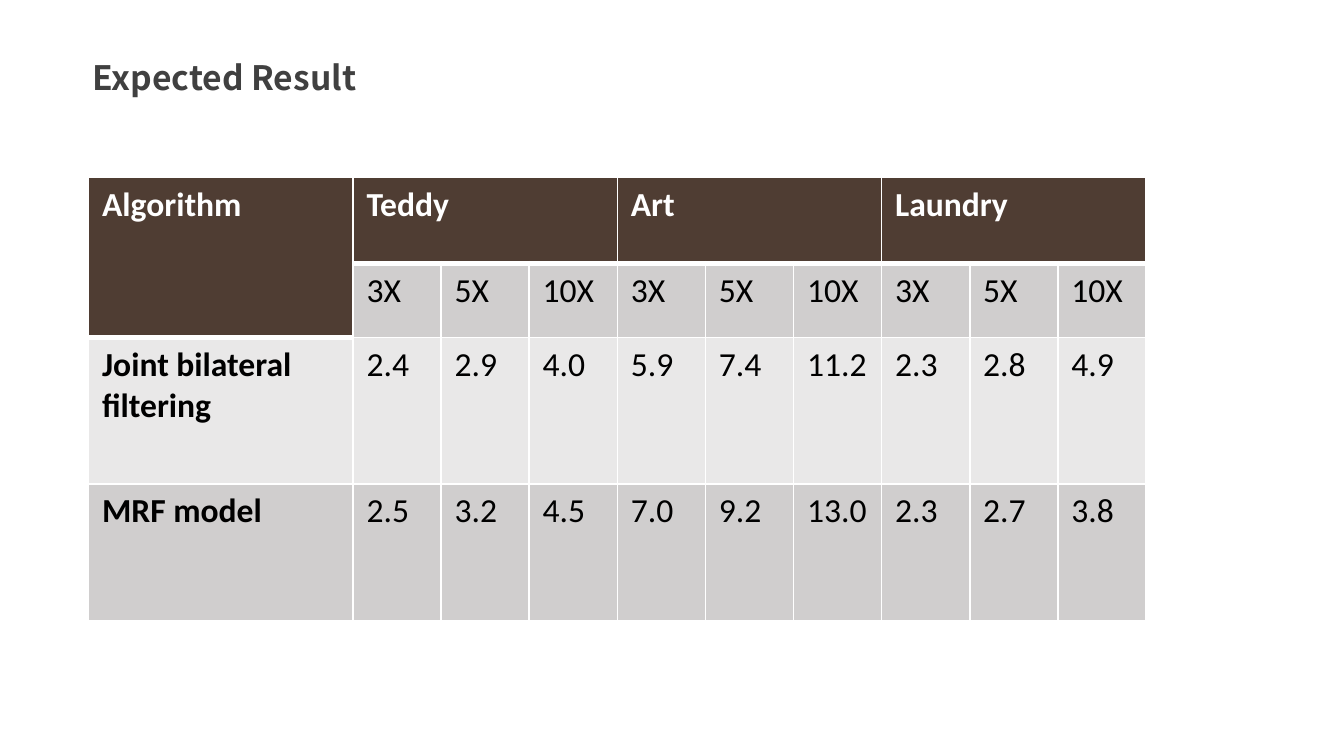
import dataclasses

import lxml.etree
import pptx
import pptx.dml.color
import pptx.enum.text
import pptx.oxml.ns
import pptx.util

Inches = pptx.util.Inches


@dataclasses.dataclass(frozen=True)
class Theme:
    title_font: str = "Noto Sans CJK SC"
    table_font: str = "Calibri"
    text_size: int = 18
    title_color: str = "404040"
    header_fill: str = "4F3D33"
    header_text: str = "FFFFFF"
    body_text: str = "000000"
    dark_band: str = "D0CECE"
    light_band: str = "E9E8E8"
    border: str = "FFFFFF"
    thin_line: int = 1
    thick_line: int = 3


class SlideBuilder:
    def __init__(self, slide, theme):
        self.slide = slide
        self.theme = theme

    def format_text(self, text_frame, font_name, color, bold):
        for paragraph in text_frame.paragraphs:
            for run in paragraph.runs:
                run.font.name = font_name
                run.font.size = pptx.util.Pt(self.theme.text_size)
                run.font.bold = bold
                run.font.color.rgb = pptx.dml.color.RGBColor.from_string(color)

    def add_title(self, text, left, top, width, height):
        title = self.slide.shapes.title
        title.left, title.top = Inches(left), Inches(top)
        title.width, title.height = Inches(width), Inches(height)
        text_frame = title.text_frame
        text_frame.text = text
        text_frame.word_wrap = True
        text_frame.auto_size = pptx.enum.text.MSO_AUTO_SIZE.NONE
        text_frame.vertical_anchor = pptx.enum.text.MSO_ANCHOR.MIDDLE
        text_frame.margin_left = text_frame.margin_right = 0
        text_frame.paragraphs[0].alignment = pptx.enum.text.PP_ALIGN.LEFT
        self.format_text(text_frame, self.theme.title_font, self.theme.title_color, True)

    def set_borders(self, cell, top, bottom):
        properties = cell._tc.get_or_add_tcPr()
        thin = self.theme.thin_line
        for side, points in (("L", thin), ("R", thin), ("T", top), ("B", bottom)):
            line = lxml.etree.SubElement(
                properties, pptx.oxml.ns.qn(f"a:ln{side}"), w=str(pptx.util.Pt(points)))
            fill = lxml.etree.SubElement(line, pptx.oxml.ns.qn("a:solidFill"))
            lxml.etree.SubElement(fill, pptx.oxml.ns.qn("a:srgbClr"), val=self.theme.border)

    def style_cell(self, cell, row, column):
        theme = self.theme

        # The thick rule runs below the header row and the Algorithm cell
        def line_below(row_above):
            above_rule = row_above == 0 or (row_above == 1 and column == 0)
            return theme.thick_line if above_rule else theme.thin_line

        self.set_borders(cell, line_below(row - 1), line_below(row))
        is_header = row == 0 or (row == 1 and column == 0)
        band = theme.dark_band if row % 2 else theme.light_band
        cell.fill.solid()
        cell.fill.fore_color.rgb = pptx.dml.color.RGBColor.from_string(
            theme.header_fill if is_header else band)
        self.format_text(cell.text_frame, theme.table_font,
                         theme.header_text if is_header else theme.body_text,
                         is_header or column == 0)

    def add_table(self, rows, merges, left, top, column_widths, row_heights):
        table = self.slide.shapes.add_table(
            len(rows), len(column_widths), Inches(left), Inches(top),
            Inches(sum(column_widths)), Inches(sum(row_heights))).table
        for column, width in zip(table.columns, column_widths):
            column.width = Inches(width)
        for table_row, height in zip(table.rows, row_heights):
            table_row.height = Inches(height)
        for row, values in enumerate(rows):
            for column, value in enumerate(values):
                cell = table.cell(row, column)
                cell.text_frame.text = value
                self.style_cell(cell, row, column)
        for first, last in merges:
            table.cell(*first).merge(table.cell(*last))


def main():
    # Widescreen page, 16 by 9
    presentation = pptx.Presentation()
    presentation.slide_width = Inches(10)
    presentation.slide_height = Inches(10 * 9 / 16)
    title_only = presentation.slide_layouts[5]
    builder = SlideBuilder(presentation.slides.add_slide(title_only), Theme())

    # Title
    builder.add_title("Expected Result", 0.69, 0.36, 2.33, 0.42)

    # Results: three scales for each test scene
    scenes = ["Teddy", "Art", "Laundry"]
    scales = ["3X", "5X", "10X"]
    header = ["Algorithm"]
    for scene in scenes:
        header += [scene, "", ""]
    rows = [
        header,
        [""] + scales * len(scenes),
        ["Joint bilateral filtering",
         "2.4", "2.9", "4.0", "5.9", "7.4", "11.2", "2.3", "2.8", "4.9"],
        ["MRF model",
         "2.5", "3.2", "4.5", "7.0", "9.2", "13.0", "2.3", "2.7", "3.8"],
    ]
    merges = [((0, 0), (1, 0))]
    merges += [((0, column), (0, column + 2)) for column in (1, 4, 7)]

    # The first column is as wide as one scene
    scale_width = 7.87 / 12
    column_widths = [3 * scale_width] + [scale_width] * 9
    builder.add_table(rows, merges, 0.66, 1.32, column_widths, [0.64, 0.55, 1.09, 1.02])

    presentation.save("out.pptx")


if __name__ == "__main__":
    main()
